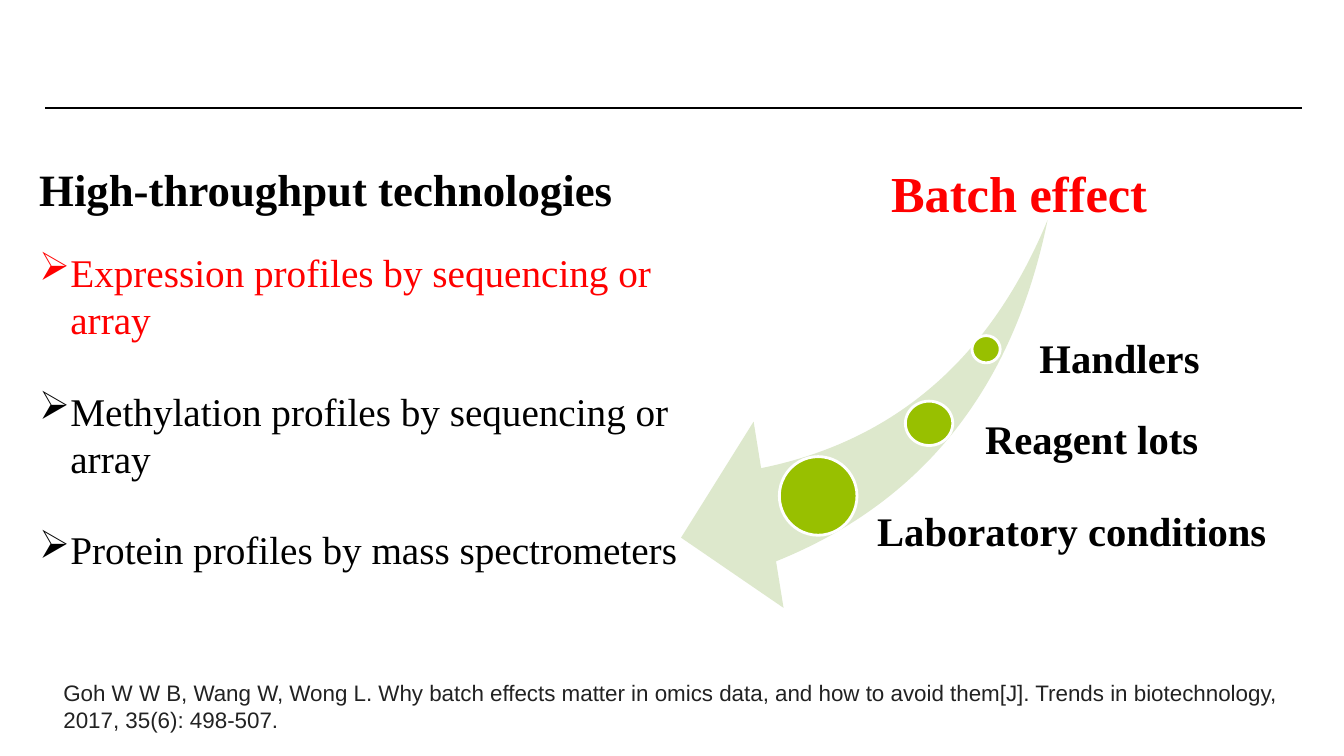
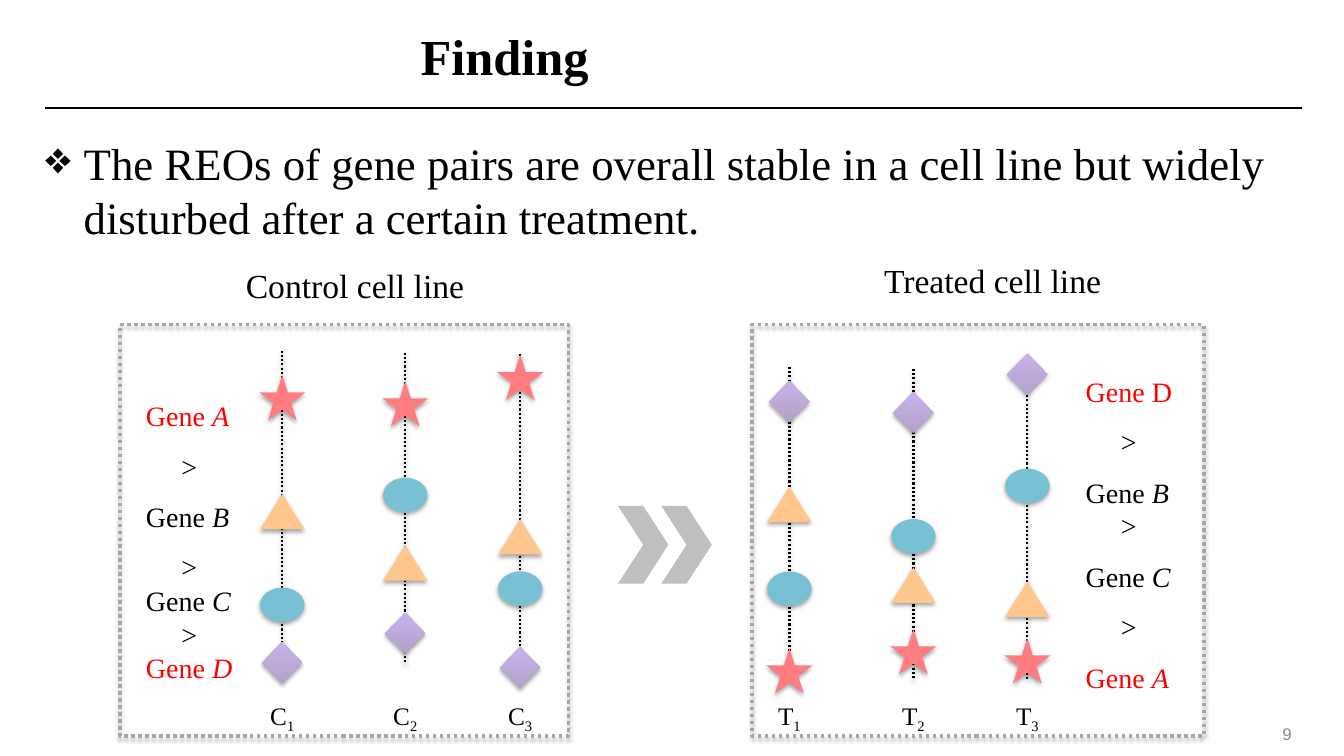
from lxml.etree import SubElement
from pptx import Presentation
from pptx.dml.color import RGBColor
from pptx.enum.dml import MSO_LINE
from pptx.enum.shapes import MSO_CONNECTOR, MSO_SHAPE as SHAPE
from pptx.enum.text import MSO_ANCHOR as ANCHOR, PP_ALIGN as ALIGN
from pptx.oxml.ns import qn
from pptx.util import Inches, Pt

# Shared look; every position counts columns and rows of a 0.1 inch grid
CELL = Inches(0.1)
COLORS = {
    "black": "000000", "white": "FFFFFF", "red": "FF0000", "citation": "222222",
    "number": "8C8C8C", "swoosh": "DDE8CC", "dot": "98C000", "frame": "A6A6A6",
    "chevron": "BFBFBF", "star": "FF7C80", "triangle": "FFC78D", "ellipse": "78C1D4",
    "diamond": "B3A2C7", "diamond top": "C8B0ED",
}
RGB = {name: RGBColor.from_string(value) for name, value in COLORS.items()}
SERIF, SANS = "Times New Roman", "Arial"


def add_text(page, at, lines, size, color="black", bold=False, font=SERIF,
             align=ALIGN.LEFT, anchor=ANCHOR.TOP, inset=True, indent=0, bullet=None):
    box = page.shapes.add_textbox(*[round(n * CELL) for n in at])
    frame = box.text_frame
    frame.word_wrap, frame.vertical_anchor = True, anchor
    if not inset:
        frame.margin_left = frame.margin_right = frame.margin_top = frame.margin_bottom = 0
    for index, line in enumerate(lines):
        para = frame.paragraphs[0] if index == 0 else frame.add_paragraph()
        para.alignment = align
        if bullet:
            props = para._p.get_or_add_pPr()
            props.set("marL", str(round(indent * CELL)))
            props.set("indent", str(-round(indent * CELL)))
            SubElement(props, qn("a:buChar")).set("char", bullet)
        para.font.name, para.font.size, para.font.bold = font, Pt(size), bold
        para.font.color.rgb = RGB[color]
        para.add_run().text = line
    return frame.paragraphs


def draw(page, kind, at, fill=None, line=None, width=1, dash=None, shadow=False):
    left, top, wide, high = [round(n * CELL) for n in at]
    if kind == "line":
        item = page.shapes.add_connector(MSO_CONNECTOR.STRAIGHT, left, top,
                                         left + wide, top + high)
    else:
        item = page.shapes.add_shape(kind, left, top, wide, high)
        if fill:
            item.fill.solid()
            item.fill.fore_color.rgb = RGB[fill]
        else:
            item.fill.background()
    if line:
        item.line.color.rgb, item.line.width = RGB[line], Pt(width)
        if dash:
            item.line.dash_style = dash
    else:
        item.line.fill.background()
    effects = SubElement(item._element.spPr, qn("a:effectLst"))
    if shadow:
        outer = SubElement(effects, qn("a:outerShdw"), blurRad=str(Pt(3.1)),
                           dist=str(Pt(1.8)), dir="5400000", rotWithShape="0")
        black = SubElement(outer, qn("a:srgbClr"), val=COLORS["black"])
        SubElement(black, qn("a:alpha"), val="35000")
    return item


deck = Presentation()
deck.slide_width, deck.slide_height = Inches(13.33), Inches(7.5)
batch, finding = [deck.slides.add_slide(deck.slide_layouts[6]) for _ in range(2)]
for page in (batch, finding):
    draw(page, "line", (4.5, 10.7, 124.6, 0), line="black")

# Batch effect: technologies on the left
add_text(batch, (2.9, 15.6, 66.4, 7), ["High-throughput technologies"], 32, bold=True)
profiles = add_text(batch, (2.9, 24.1, 66.4, 33.9), [
    "Expression profiles by sequencing or array",
    "Methylation profiles by sequencing or array",
    "Protein profiles by mass spectrometers",
], 28, indent=3.1, bullet="➢")
profiles[0].font.color.rgb = RGB["red"]
for para in profiles[1:]:
    para.space_before = Pt(32)

# Batch effect: causes along the arrow
add_text(batch, (87.4, 15.6, 31.7, 7.1), ["Batch effect"], 36, "red", bold=True)
swoosh = draw(batch, SHAPE.SWOOSH_ARROW, (67, 22.7, 37.8, 37.2), "swoosh")
swoosh.rotation = 177.3
swoosh.adjustments[0] = swoosh.adjustments[1] = 0.25
CAUSES = [
    ("Handlers", (103.1, 33), (96.4, 33.3, 2.8, 2.7)),
    ("Reagent lots", (97.7, 41.1), (89.8, 39.8, 4.7, 4.4)),
    ("Laboratory conditions", (87, 50.2), (77.3, 45.3, 7.7, 7.8)),
]
for cause, corner, dot in CAUSES:
    draw(batch, SHAPE.OVAL, dot, "dot", "white", 2)
    add_text(batch, (*corner, 41, 5), [cause], 29, bold=True, inset=False)
add_text(batch, (5.3, 66.9, 124.1, 6.4), [
    "Goh W W B, Wang W, Wong L. Why batch effects matter in omics data, and how to "
    "avoid them[J]. Trends in biotechnology, 2017, 35(6): 498-507.",
], 16, "citation", font=SANS)

# Finding: title, statement and page number
add_text(finding, (4.5, 2.3, 91.1, 6.3), ["Finding"], 36, bold=True,
         align=ALIGN.CENTER, anchor=ANCHOR.MIDDLE, inset=False)
add_text(finding, (4.5, 13.5, 124.1, 13.2), [
    "The REOs of gene pairs are overall stable in a cell line but widely disturbed "
    "after a certain treatment.",
], 32, inset=False, indent=3.8, bullet="❖")
add_text(finding, (95.6, 70.8, 33.5, 4), ["9"], 12, "number", font=SANS,
         align=ALIGN.RIGHT, anchor=ANCHOR.MIDDLE)

# Finding: dotted panels with headings, chevrons between them
for heading, corner, left, width in [
    ("Control cell line", (23.4, 25.8), 11.9, 44.5),
    ("Treated cell line", (86.7, 25.3), 74.6, 44.8),
]:
    add_text(finding, (*corner, 30, 5), [heading], 24)
    draw(finding, SHAPE.RECTANGLE, (left, 32.2, width, 40.8), line="frame",
         width=2.5, dash=MSO_LINE.ROUND_DOT, shadow=True)
for left in (61.3, 65.6):
    draw(finding, SHAPE.CHEVRON, (left, 50.2, 5, 7.7), "chevron")

# Finding: one dotted axis per sample, with the top of each gene's marker
MARKERS = [
    (SHAPE.ISOSCELES_TRIANGLE, "triangle", 4.4, 3.5),
    (SHAPE.OVAL, "ellipse", 4.4, 3.4),
    (SHAPE.STAR_5_POINT, "star", 4.6, 4.5),
    (SHAPE.DIAMOND, "diamond", 4, 4.1),
]
SAMPLES = [
    ("C", "1", 28, 34.8, (49, 58.3, 37.2, 63.7)),
    ("C", "2", 40.2, 35, (54.1, 47.4, 37.8, 60.8)),
    ("C", "3", 51.6, 35.1, (51.5, 56.7, 35.2, 64.2)),
    ("T", "1", 78.3, 36.4, (48.3, 56.7, 64.3, 37.8)),
    ("T", "2", 90.6, 36.6, (56.3, 51.5, 62.4, 38.9)),
    ("T", "3", 101.9, 36.7, (57.7, 46.5, 63.3, 35.1)),
]
for group, number, center, axis_top, tops in SAMPLES:
    draw(finding, "line", (center, axis_top, 0, 30.8), line="black", width=1.5,
         dash=MSO_LINE.ROUND_DOT, shadow=True)
    for (kind, color, width, height), top in zip(MARKERS, tops):
        marker = draw(finding, kind, (center - width / 2, top, width, height),
                      color, shadow=True)
        if color == "diamond":
            marker.fill.gradient()
            marker.fill.gradient_angle = 90
            for stop, shade in zip(marker.fill.gradient_stops, ("diamond", "diamond top")):
                stop.color.rgb = RGB[shade]
    label = add_text(finding, (center - 4, 69, 8, 4), [group], 18, align=ALIGN.CENTER)[0]
    span = label.add_run()
    span.text = number
    span.font._element.set("baseline", "-25000")

# Finding: gene orders as (text, italic letter, colour, line spacing)
CONTROL = [
    ("Gene ", "A", "red", 1.5), (">", "", "black", 1.5),
    ("Gene ", "B", "black", 1.5), (">", "", "black", 1.5),
    ("Gene ", "C", "black", 1), (">", "", "black", 1), ("Gene ", "D", "red", 1),
]
TREATED = [
    ("Gene D", "", "red", 1.5), (">", "", "black", 1.5),
    ("Gene ", "B", "black", 1.5), (">", "", "black", 1),
    ("Gene ", "C", "black", 1.5), (">", "", "black", 1.5), ("Gene ", "A", "red", 1.5),
]
for at, order in [((13.5, 37.4, 12.3, 31.3), CONTROL), ((106.7, 35, 12.4, 34.7), TREATED)]:
    paras = add_text(finding, at, [entry[0] for entry in order], 20)
    for para, (text, letter, color, spacing) in zip(paras, order):
        para.line_spacing = float(spacing)
        para.font.color.rgb = RGB[color]
        if text == ">":
            para._p.get_or_add_pPr().set("marL", str(round(3.5 * CELL)))
        if letter:
            span = para.add_run()
            span.text, span.font.italic = letter, True

deck.save("out.pptx")
